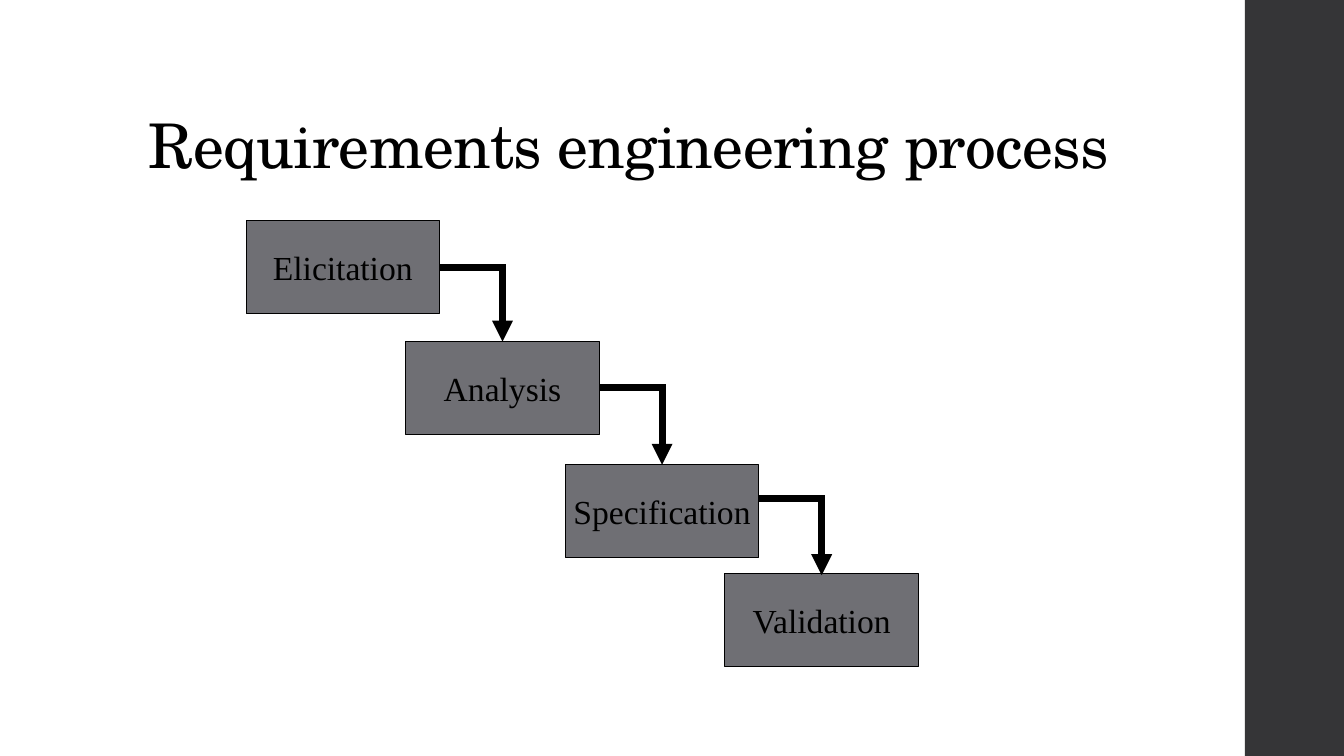
from dataclasses import dataclass

from lxml import etree
from pptx import Presentation
from pptx.dml.color import RGBColor
from pptx.enum.shapes import MSO_CONNECTOR, MSO_SHAPE
from pptx.enum.text import MSO_ANCHOR, PP_ALIGN
from pptx.oxml.ns import qn
from pptx.shapes.autoshape import Shape
from pptx.shapes.shapetree import SlideShapes
from pptx.text.text import TextFrame
from pptx.util import Pt

RECTANGLE = MSO_SHAPE.RECTANGLE
ELBOW = MSO_CONNECTOR.ELBOW
MIDDLE, BOTTOM = MSO_ANCHOR.MIDDLE, MSO_ANCHOR.BOTTOM
LEFT, CENTER = PP_ALIGN.LEFT, PP_ALIGN.CENTER


@dataclass(frozen=True)
class Theme:
    ink: RGBColor = RGBColor(0x00, 0x00, 0x00)
    box: RGBColor = RGBColor(0x6F, 0x6F, 0x74)
    band: RGBColor = RGBColor(0x35, 0x35, 0x37)
    title_font: str = "TeX Gyre Schola"
    box_font: str = "Times New Roman"
    title_size: float = 44
    box_size: float = 24
    outline: float = 0.75
    arrow: float = 5


@dataclass(frozen=True)
class Stage:
    label: str
    top: float


@dataclass(frozen=True)
class Step:
    """Arrow to the next stage: where it leaves the box, and its height."""
    exit_drop: float
    height: float


THEME = Theme()
SLIDE_WIDTH, SLIDE_HEIGHT = 960, 540
BAND_LEFT, BAND_WIDTH = 889.2, 72
STAGE_LEFT, STAGE_PITCH = 175.8, 114
STAGE_WIDTH, STAGE_HEIGHT = 138.24, 66.24
STAGES = (
    Stage("Elicitation", 157.8),
    Stage("Analysis", 244),
    Stage("Specification", 331.9),
    Stage("Validation", 409.8),
)
STEPS = (Step(33, 53.3), Step(33, 55), Step(24, 55))


def write(frame: TextFrame, text: str, anchor: MSO_ANCHOR, align: PP_ALIGN,
          wrap: bool, font_format: dict[str, object]) -> None:
    frame.word_wrap = wrap
    frame.vertical_anchor = anchor
    paragraph = frame.paragraphs[0]
    paragraph.alignment = align
    run = paragraph.add_run()
    run.text = text
    for attribute, value in font_format.items():
        setattr(run.font, attribute, value)
    run.font.color.rgb = THEME.ink


def add_rectangle(shapes: SlideShapes, left: float, top: float, width: float,
                  height: float, fill: RGBColor) -> Shape:
    rectangle = shapes.add_shape(RECTANGLE, Pt(left), Pt(top), Pt(width), Pt(height))
    rectangle.shadow.inherit = False
    rectangle.fill.solid()
    rectangle.fill.fore_color.rgb = fill
    rectangle.line.fill.background()
    return rectangle


def add_title(shapes: SlideShapes, text: str) -> None:
    title = shapes.add_textbox(Pt(99.36), Pt(28.8), Pt(763.2), Pt(104.4))
    write(title.text_frame, text, BOTTOM, LEFT, True,
          {"name": THEME.title_font, "size": Pt(THEME.title_size)})
    paragraph = title.text_frame.paragraphs[0]
    paragraph.line_spacing = 0.9
    paragraph.runs[0].font._element.set("spc", "-50")


def add_stage(shapes: SlideShapes, stage: Stage, left: float) -> None:
    box = add_rectangle(shapes, left, stage.top, STAGE_WIDTH, STAGE_HEIGHT, THEME.box)
    box.line.color.rgb = THEME.ink
    box.line.width = Pt(THEME.outline)
    write(box.text_frame, stage.label, MIDDLE, CENTER, False,
          {"name": THEME.box_font, "size": Pt(THEME.box_size)})


def add_step(shapes: SlideShapes, step: Step, stage: Stage, left: float) -> None:
    """Draw a one-bend arrow from the right side of a stage to the next one."""
    start_x = left + STAGE_WIDTH
    end_x = left + STAGE_PITCH + STAGE_WIDTH / 2
    start_y = stage.top + step.exit_drop
    arrow = shapes.add_connector(ELBOW, Pt(start_x), Pt(start_y),
                                 Pt(end_x), Pt(start_y + step.height))
    arrow.line.color.rgb = THEME.ink
    arrow.line.width = Pt(THEME.arrow)
    properties = arrow._element.spPr
    properties.find(qn("a:prstGeom")).set("prst", "bentConnector2")
    outline = properties.find(qn("a:ln"))
    etree.SubElement(outline, qn("a:miter"), lim="800000")
    etree.SubElement(outline, qn("a:tailEnd"), type="triangle")
    etree.SubElement(properties, qn("a:effectLst"))


def main() -> None:
    presentation = Presentation()
    presentation.slide_width = Pt(SLIDE_WIDTH)
    presentation.slide_height = Pt(SLIDE_HEIGHT)
    shapes = presentation.slides.add_slide(presentation.slide_layouts[6]).shapes

    add_rectangle(shapes, BAND_LEFT, 0, BAND_WIDTH, SLIDE_HEIGHT, THEME.band)
    add_title(shapes, "Requirements engineering process")
    lefts = [STAGE_LEFT + index * STAGE_PITCH for index in range(len(STAGES))]
    for stage, left in zip(STAGES, lefts):
        add_stage(shapes, stage, left)
    for step, stage, left in zip(STEPS, STAGES, lefts):
        add_step(shapes, step, stage, left)
    presentation.save("out.pptx")


if __name__ == "__main__":
    main()
